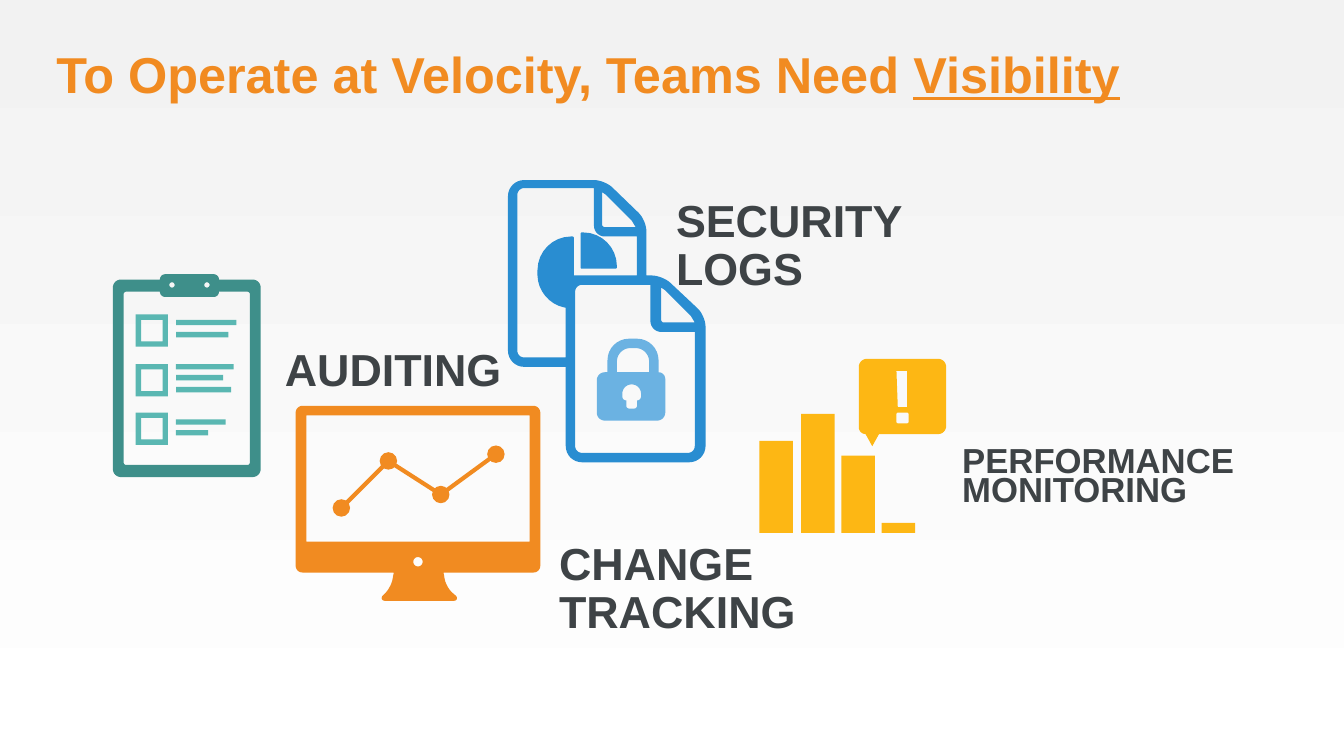
import math

import pptx
import pptx.dml.color
import pptx.enum.shapes
import pptx.enum.text
import pptx.oxml.ns
import pptx.util
from lxml import etree

RGBColor = pptx.dml.color.RGBColor
ORANGE = RGBColor(0xF1, 0x8B, 0x21)
DARK = RGBColor(0x3E, 0x43, 0x46)
BLUE = RGBColor(0x29, 0x8D, 0xD1)
LIGHT_BLUE = RGBColor(0x6B, 0xB2, 0xE2)
YELLOW = RGBColor(0xFD, 0xB7, 0x14)
TEAL = RGBColor(0x3E, 0x8F, 0x8A)
LIGHT_TEAL = RGBColor(0x5A, 0xB7, 0xB2)
GREY = RGBColor(0xF2, 0xF2, 0xF2)
WHITE = RGBColor(0xFF, 0xFF, 0xFF)
SHAPES = pptx.enum.shapes.MSO_SHAPE
GRID = 2.54


def grid(value):
    """Turn grid units into a length."""
    return pptx.util.Cm(value * GRID)


def paint(shape, color):
    """Give a shape a flat fill with neither line nor shadow."""
    shape.fill.solid()
    shape.fill.fore_color.rgb = color
    shape.line.fill.background()
    shape.shadow.inherit = False


def add_preset(page, kind, left, top, width, height, color):
    """Add a flat preset shape."""
    paint(page.shapes.add_shape(kind, *map(grid, (left, top, width, height))), color)


def add_text(page, left, top, width, height, text, size=24, color=DARK, spacing=0.9, underlined=""):
    """Add a bold text box, with an optional underlined ending."""
    box = page.shapes.add_textbox(*map(grid, (left, top, width, height)))
    frame = box.text_frame
    frame.word_wrap = True
    frame.vertical_anchor = pptx.enum.text.MSO_ANCHOR.TOP
    frame.margin_left = frame.margin_right = frame.margin_top = frame.margin_bottom = 0
    para = frame.paragraphs[0]
    para.line_spacing = spacing
    for index, line in enumerate(text.split("\n")):
        if index:
            para.add_line_break()
        para.add_run().text = line
    if underlined:
        span = para.add_run()
        span.text = underlined
        span.font.underline = True
    for span in para.runs:
        span.font.name = "Arial"
        span.font.size = pptx.util.Pt(size)
        span.font.bold = True
        span.font.color.rgb = color


def add_line(page, start, end, color, width):
    """Add a straight line between two points."""
    line = page.shapes.add_connector(
        pptx.enum.shapes.MSO_CONNECTOR.STRAIGHT, *map(grid, (*start, *end)))
    line.line.color.rgb = color
    line.line.width = pptx.util.Pt(width)
    etree.SubElement(line._element.spPr, pptx.oxml.ns.qn("a:effectLst"))


def toward(start, end, distance):
    """Return the point at a distance from start on the way to end."""
    share = distance / math.dist(start, end)
    return tuple(a + (b - a) * share for a, b in zip(start, end))


def rounded(corners, steps=8):
    """Trace a contour of (x, y) or (x, y, radius) corners as points."""
    points = []
    for index, (x, y, *radius) in enumerate(corners):
        corner = (x, y)
        if not radius:
            points.append(corner)
            continue
        before = corners[index - 1][:2]
        after = corners[(index + 1) % len(corners)][:2]
        first = toward(corner, before, radius[0])
        last = toward(corner, after, radius[0])
        for step in range(steps + 1):
            t = step / steps
            first_share = (1 - t) ** 3 + 1.35 * t * (1 - t) ** 2
            last_share = t ** 3 + 1.35 * t ** 2 * (1 - t)
            points.append(tuple(
                a * first_share + b * last_share + c * (1 - first_share - last_share)
                for a, b, c in zip(first, last, corner)))
    return points


def block(left, top, right, bottom, *radius):
    """List the corners of a rectangle."""
    return [(x, y, *radius) for x, y in
            ((left, top), (right, top), (right, bottom), (left, bottom))]


def disc(x, y, radius):
    """List the corners of a circle."""
    return block(x - radius, y - radius, x + radius, y + radius, radius)


def add_outline(page, color, *contours):
    """Add one freeform; contours after the first are holes."""
    builder = None
    for corners in contours:
        points = [(grid(x), grid(y)) for x, y in rounded(corners)]
        if builder is None:
            builder = page.shapes.build_freeform(*points[0])
        else:
            builder.move_to(*points[0])
        builder.add_line_segments(points[1:], close=True)
    paint(builder.convert_to_shape(), color)


def add_documents(page):
    """Draw the two overlapping documents, the pie and the lock."""
    add_outline(
        page, LIGHT_BLUE,
        [(4.44, 2.77, 0.06), (4.52, 2.77), (4.52, 2.52, 0.16), (4.9, 2.52, 0.16),
         (4.9, 2.77), (4.95, 2.77, 0.05), (4.95, 3.13, 0.06), (4.44, 3.13, 0.06)],
        [(4.59, 2.77), (4.59, 2.59, 0.1), (4.83, 2.59, 0.1), (4.83, 2.77)],
        [(4.63, 2.86, 0.07), (4.77, 2.86, 0.07), (4.77, 2.98, 0.03), (4.74, 2.98),
         (4.74, 3.04, 0.02), (4.66, 3.04, 0.02), (4.66, 2.98), (4.63, 2.98, 0.03)])
    add_outline(page, BLUE, [(4.32, 1.73, 0.01), (4.59, 1.73, 0.25),
                             (4.59, 2, 0.01), (4.32, 2, 0.01)])
    fold = [(4.48, 1.43), (4.51, 1.45), (4.7, 1.64), (4.73, 1.69), (4.48, 1.69, 0.02)]
    add_outline(
        page, BLUE,
        [(3.78, 1.34, 0.12), (4.5, 1.34, 0.08), (4.81, 1.64, 0.08), (4.81, 2.05),
         (4.93, 2.05, 0.08), (5.25, 2.35, 0.08), (5.25, 3.44, 0.12),
         (4.21, 3.44, 0.12), (4.21, 2.73), (3.78, 2.73, 0.12)],
        [(3.85, 1.4, 0.05), (4.42, 1.4), (4.42, 1.76, 0.08), (4.74, 1.76), (4.74, 2.05),
         (4.27, 2.05), (4.27, 1.76, 0.01), (4, 1.76, 0.25), (4, 2.25, 0.2),
         (4.21, 2.29), (4.21, 2.66), (3.85, 2.66, 0.05)],
        [(4.28, 2.12, 0.05), (4.84, 2.12), (4.84, 2.47, 0.08), (5.17, 2.47),
         (5.17, 3.37, 0.05), (4.28, 3.37, 0.05)],
        fold,
        [(x + 0.44, y + 0.71, *radius) for x, y, *radius in fold])


def add_bars(page):
    """Draw the bars and the warning bubble."""
    for left, top in ((5.65, 3.28), (5.96, 3.08), (6.26, 3.39), (6.56, 3.89)):
        add_preset(page, SHAPES.RECTANGLE, left, top, 0.25, 3.965 - top, YELLOW)
    add_outline(
        page, YELLOW,
        [(6.39, 2.67, 0.06), (7.04, 2.67, 0.06), (7.04, 3.23, 0.06), (6.54, 3.23),
         (6.49, 3.32), (6.44, 3.23), (6.39, 3.23, 0.05)],
        [(6.67, 2.76), (6.75, 2.76), (6.75, 3.03), (6.68, 3.03)],
        block(6.67, 3.07, 6.76, 3.15, 0.01))


def add_monitor(page):
    """Draw the monitor and its trend line."""
    trend = [(2.54, 3.78), (2.89, 3.43), (3.28, 3.68), (3.69, 3.38)]
    for start, end in zip(trend, trend[1:]):
        add_line(page, start, end, ORANGE, 2.25)
    for x, y in trend:
        add_preset(page, SHAPES.OVAL, x - 0.065, y - 0.065, 0.13, 0.13, ORANGE)
    add_outline(
        page, ORANGE,
        [(2.2, 3.02, 0.05), (4.02, 3.02, 0.05), (4.02, 4.26, 0.05), (3.3, 4.26),
         (3.32, 4.37, 0.06), (3.4, 4.44, 0.01), (3.4, 4.47, 0.02), (2.84, 4.47, 0.02),
         (2.84, 4.44, 0.01), (2.91, 4.37, 0.06), (2.93, 4.26), (2.2, 4.26, 0.05)],
        block(2.28, 3.09, 3.94, 4.03),
        disc(3.11, 4.18, 0.035))


def add_clipboard(page):
    """Draw the clipboard and its checklist."""
    for top in (2.34, 2.71, 3.07):
        add_outline(page, LIGHT_TEAL, block(1.01, top, 1.25, top + 0.24),
                    block(1.05, top + 0.04, 1.21, top + 0.2))
    for top, width in ((2.38, 0.45), (2.47, 0.39), (2.71, 0.43), (2.79, 0.35),
                       (2.88, 0.41), (3.12, 0.37), (3.2, 0.24)):
        add_preset(page, SHAPES.RECTANGLE, 1.31, top, width, 0.04, LIGHT_TEAL)
    add_outline(
        page, TEAL,
        [(0.84, 2.08, 0.06), (1.19, 2.08), (1.19, 2.04, 0.04), (1.63, 2.04, 0.04),
         (1.63, 2.08), (1.94, 2.08, 0.06), (1.94, 3.55, 0.06), (0.84, 3.55, 0.06)],
        [(0.92, 2.17, 0.02), (1.19, 2.17), (1.19, 2.21, 0.04), (1.63, 2.21, 0.04),
         (1.63, 2.17), (1.86, 2.17, 0.02), (1.86, 3.46, 0.02), (0.92, 3.46, 0.02)],
        disc(1.28, 2.12, 0.02),
        disc(1.54, 2.12, 0.02))


def main():
    """Build the slide and save it."""
    deck = pptx.Presentation()
    deck.slide_width = pptx.util.Cm(25.4)
    deck.slide_height = deck.slide_width * 9 // 16
    page = deck.slides.add_slide(deck.slide_layouts[6])
    backdrop = page.background.fill
    backdrop.gradient()
    backdrop.gradient_angle = 270
    for stop, color in zip(backdrop.gradient_stops, (GREY, WHITE)):
        stop.color.rgb = color
    add_text(page, 0.42, 0.37, 9.17, 0.42, "To Operate at Velocity, Teams Need ",
             size=27, color=ORANGE, underlined="Visibility")
    add_documents(page)
    add_text(page, 5.03, 1.48, 1.75, 0.5, "SECURITY LOGS")
    add_bars(page)
    add_text(page, 7.16, 3.35, 2.06, 0.5, "PERFORMANCE\nMONITORING", size=18.6, spacing=0.7)
    add_monitor(page)
    add_text(page, 4.16, 4.03, 2.06, 0.5, "CHANGE TRACKING")
    add_clipboard(page)
    add_text(page, 2.12, 2.59, 2.06, 0.5, "AUDITING")
    deck.save("out.pptx")


if __name__ == "__main__":
    main()
